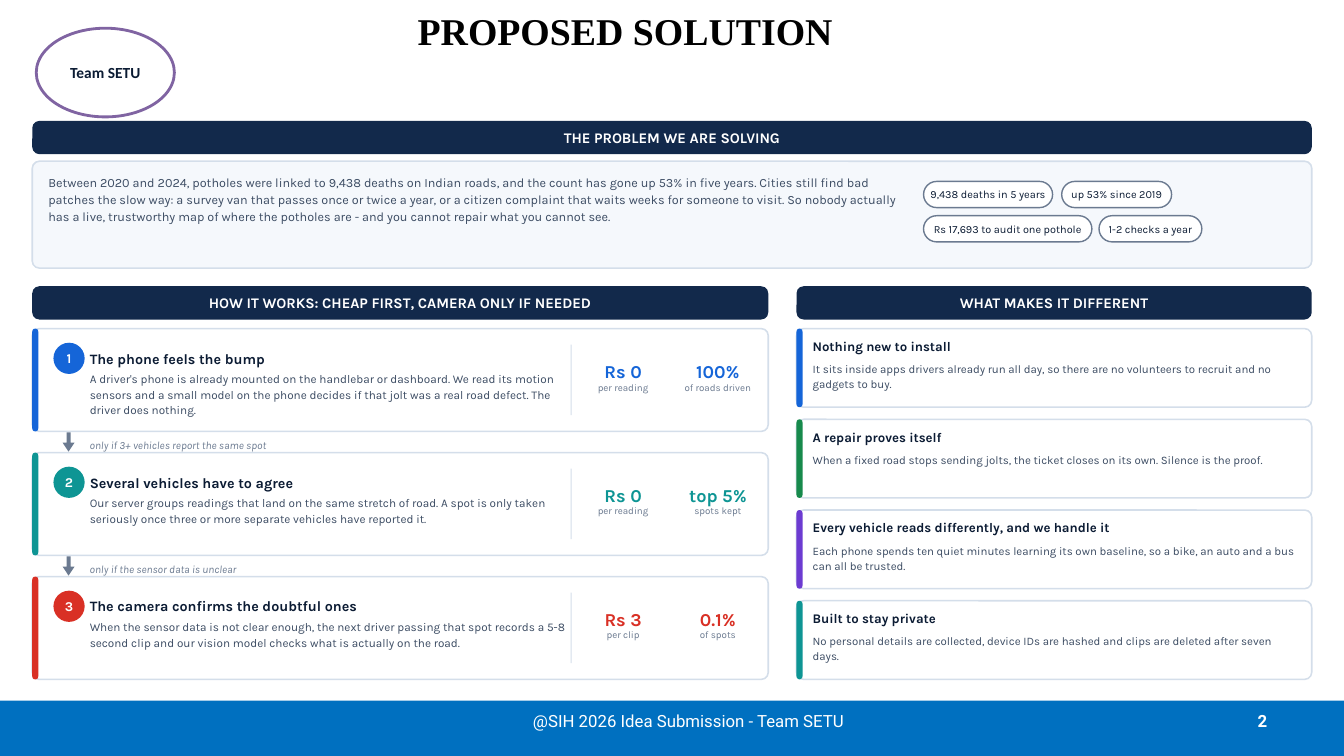
from dataclasses import dataclass
from typing import NamedTuple

from pptx import Presentation
from pptx import util as u
from pptx.dml import color
from pptx.enum import shapes, text

Inches = u.Inches
Kind = shapes.MSO_SHAPE
Align = text.PP_ALIGN
Anchor = text.MSO_ANCHOR


@dataclass(frozen=True)
class Theme:
    font: str = "Karla"
    footer_font: str = "Roboto"
    title_font: str = "Times New Roman"
    team_font: str = "Calibri"
    white: str = "FFFFFF"
    black: str = "000000"
    ink: str = "0B1B33"
    body: str = "3C4C63"
    muted: str = "6B7A90"
    border: str = "D4DEEA"
    panel: str = "F5F8FC"
    navy: str = "12294B"
    footer: str = "0070C0"
    ring: str = "8064A2"
    blue: str = "1565D8"
    teal: str = "0E9594"
    red: str = "D93025"
    green: str = "178A4C"
    purple: str = "6C3BD1"
    title_size: float = 27
    footer_size: float = 12
    team_size: float = 11
    banner_size: float = 10.5
    problem_size: float = 9
    pill_size: float = 7.8
    badge_size: float = 9.6
    step_size: float = 10.2
    step_body_size: float = 8.4
    metric_size: float = 13
    metric_label_size: float = 7
    card_size: float = 9.4
    card_body_size: float = 8.2


class Area(NamedTuple):
    left: float
    top: float
    width: float
    height: float


class Label(NamedTuple):
    area: Area
    words: str


class Metric(NamedTuple):
    value: str
    unit: str


class Step(NamedTuple):
    heading: str
    body: str
    colour: str
    metrics: tuple[Metric, Metric]
    condition: str = ""


class Card(NamedTuple):
    heading: str
    body: str
    colour: str


THEME = Theme()
LEFT, RIGHT_COLUMN = 0.32, 7.9
FULL_WIDTH, STEP_WIDTH, CARD_WIDTH = 12.69, 7.3, 5.11
ROW_TOP = 3.26
STEP_HEIGHT, STEP_PITCH = 1.02, 1.23
CARD_HEIGHT, CARD_PITCH = 0.78, 0.9
METRIC_CENTRES = (6.18, 7.12)

BANNERS = (
    Label(Area(LEFT, 1.2, FULL_WIDTH, 0.33), "THE PROBLEM WE ARE SOLVING"),
    Label(Area(LEFT, 2.84, STEP_WIDTH, 0.33), "HOW IT WORKS: CHEAP FIRST, CAMERA ONLY IF NEEDED"),
    Label(Area(RIGHT_COLUMN, 2.84, CARD_WIDTH, 0.33), "WHAT MAKES IT DIFFERENT"),
)
PROBLEM = (
    "Between 2020 and 2024, potholes were linked to 9,438 deaths on Indian roads, and the count has gone up 53% "
    "in five years. Cities still find bad patches the slow way: a survey van that passes once or twice a year, "
    "or a citizen complaint that waits weeks for someone to visit. So nobody actually has a live, trustworthy "
    "map of where the potholes are - and you cannot repair what you cannot see."
)
PILLS = (
    Label(Area(9.16, 1.8, 1.28, 0.26), "9,438 deaths in 5 years"),
    Label(Area(10.53, 1.8, 1.09, 0.26), "up 53% since 2019"),
    Label(Area(9.16, 2.14, 1.67, 0.26), "Rs 17,693 to audit one pothole"),
    Label(Area(10.9, 2.14, 1.02, 0.26), "1-2 checks a year"),
)
STEPS = (
    Step("The phone feels the bump",
         "A driver's phone is already mounted on the handlebar or dashboard. We read its motion sensors and a "
         "small model on the phone decides if that jolt was a real road defect. The driver does nothing.",
         THEME.blue, (Metric("Rs 0", "per reading"), Metric("100%", "of roads driven")),
         "only if 3+ vehicles report the same spot"),
    Step("Several vehicles have to agree",
         "Our server groups readings that land on the same stretch of road. A spot is only taken seriously once "
         "three or more separate vehicles have reported it.",
         THEME.teal, (Metric("Rs 0", "per reading"), Metric("top 5%", "spots kept")),
         "only if the sensor data is unclear"),
    Step("The camera confirms the doubtful ones",
         "When the sensor data is not clear enough, the next driver passing that spot records a 5-8 second clip "
         "and our vision model checks what is actually on the road.",
         THEME.red, (Metric("Rs 3", "per clip"), Metric("0.1%", "of spots"))),
)
CARDS = (
    Card("Nothing new to install",
         "It sits inside apps drivers already run all day, so there are no volunteers to recruit and no gadgets "
         "to buy.", THEME.blue),
    Card("A repair proves itself",
         "When a fixed road stops sending jolts, the ticket closes on its own. Silence is the proof.", THEME.green),
    Card("Every vehicle reads differently, and we handle it",
         "Each phone spends ten quiet minutes learning its own baseline, so a bike, an auto and a bus can all be "
         "trusted.", THEME.purple),
    Card("Built to stay private",
         "No personal details are collected, device IDs are hashed and clips are deleted after seven days.",
         THEME.teal),
)


def paint(shape, fill: str, line: str = "", weight: float = 1.1) -> None:
    shape.shadow.inherit = False
    shape.fill.solid()
    shape.fill.fore_color.rgb = color.RGBColor.from_string(fill)
    if line:
        shape.line.color.rgb = color.RGBColor.from_string(line)
        shape.line.width = u.Pt(weight)
    else:
        shape.line.fill.background()


def draw(page, kind, area: Area, fill: str, line: str = "", weight: float = 1.1, radius: float = 0):
    shape = page.shapes.add_shape(kind, *map(Inches, area))
    paint(shape, fill, line, weight)
    if radius:
        shape.adjustments[0] = min(0.5, radius / min(area.width, area.height))
    return shape


def write(box, words: str, *, size: float, colour: str, font: str = THEME.font, bold: bool = False,
          italic: bool = False, align=Align.LEFT, anchor=Anchor.MIDDLE, wrap: bool = False,
          spacing: float = 0) -> None:
    frame = box.text_frame
    frame.margin_left = frame.margin_right = frame.margin_top = frame.margin_bottom = 0
    frame.word_wrap = wrap
    frame.vertical_anchor = anchor
    para = frame.paragraphs[0]
    para.alignment = align
    if spacing:
        para.line_spacing = u.Pt(spacing)
    span = para.add_run()
    span.text = words
    span.font.name, span.font.size = font, u.Pt(size)
    span.font.bold, span.font.italic = bold, italic
    span.font.color.rgb = color.RGBColor.from_string(colour)


def place(page, area: Area, words: str, **style) -> None:
    write(page.shapes.add_textbox(*map(Inches, area)), words, **style)


def draw_panel(page, area: Area, accent: str) -> None:
    draw(page, Kind.ROUNDED_RECTANGLE, area, THEME.white, THEME.border, radius=0.07)
    draw(page, Kind.ROUNDED_RECTANGLE, area._replace(width=0.06), accent, radius=0.03)


def draw_arrow(page, centre: float, top: float) -> None:
    outline = ((-0.02, 0), (0.02, 0), (0.02, 0.1), (0.06, 0.1), (0, 0.19), (-0.06, 0.1), (-0.02, 0.1))
    points = [(Inches(centre + across), Inches(top + down)) for across, down in outline]
    builder = page.shapes.build_freeform(*points[0])
    builder.add_line_segments(points[1:], close=True)
    paint(builder.convert_to_shape(), THEME.muted)


def draw_step(page, index: int, step: Step) -> None:
    top = ROW_TOP + index * STEP_PITCH
    draw_panel(page, Area(LEFT, top, STEP_WIDTH, STEP_HEIGHT), step.colour)
    draw(page, Kind.RECTANGLE, Area(5.66, top + 0.16, 0.01, 0.7), THEME.border)
    badge = draw(page, Kind.OVAL, Area(0.53, top + 0.14, 0.31, 0.31), step.colour)
    write(badge, str(index + 1), size=THEME.badge_size, colour=THEME.white, bold=True, align=Align.CENTER)
    place(page, Area(0.89, top + 0.16, 4.75, 0.27), step.heading, size=THEME.step_size, colour=THEME.ink, bold=True)
    place(page, Area(0.89, top + 0.42, 4.75, 0.48), step.body, size=THEME.step_body_size, colour=THEME.body,
          anchor=Anchor.TOP, wrap=True, spacing=11)
    for centre, metric in zip(METRIC_CENTRES, step.metrics):
        place(page, Area(centre - 0.4, top + 0.25, 0.8, 0.34), metric.value, size=THEME.metric_size,
              colour=step.colour, bold=True, align=Align.CENTER)
        place(page, Area(centre - 0.4, top + 0.49, 0.8, 0.18), metric.unit, size=THEME.metric_label_size,
              colour=THEME.muted, align=Align.CENTER)
    if step.condition:
        draw_arrow(page, 0.68, top + 1.03)
        place(page, Area(0.89, top + 1.05, 2, 0.21), step.condition, size=THEME.pill_size, colour=THEME.muted,
              italic=True)


def draw_card(page, index: int, card: Card) -> None:
    top = ROW_TOP + index * CARD_PITCH
    draw_panel(page, Area(RIGHT_COLUMN, top, CARD_WIDTH, CARD_HEIGHT), card.colour)
    place(page, Area(8.06, top + 0.05, 4.81, 0.25), card.heading, size=THEME.card_size, colour=THEME.ink, bold=True)
    place(page, Area(8.06, top + 0.32, 4.81, 0.35), card.body, size=THEME.card_body_size, colour=THEME.body,
          anchor=Anchor.TOP, wrap=True, spacing=10.8)


def main() -> None:
    deck = Presentation()
    deck.slide_width, deck.slide_height = Inches(13.33), Inches(7.5)
    page = deck.slides.add_slide(deck.slide_layouts[6])
    draw(page, Kind.RECTANGLE, Area(0, 6.95, 13.33, 0.55), THEME.footer)
    place(page, Area(1.85, 0.08, 8.7, 1.02), "PROPOSED SOLUTION", size=THEME.title_size, colour=THEME.black,
          font=THEME.title_font, bold=True, align=Align.CENTER, anchor=Anchor.TOP, wrap=True)
    place(page, Area(9.56, 6.95, 3.01, 0.4), "2", size=THEME.footer_size, colour=THEME.white,
          font=THEME.footer_font, bold=True, align=Align.RIGHT, wrap=True)
    place(page, Area(5.08, 6.95, 3.5, 0.4), "@SIH 2026 Idea Submission - Team SETU", size=THEME.footer_size,
          colour=THEME.white, font=THEME.footer_font, align=Align.CENTER, wrap=True)
    team = draw(page, Kind.OVAL, Area(0.36, 0.28, 1.37, 0.88), THEME.white, THEME.ring, 2)
    write(team, "Team SETU", size=THEME.team_size, colour=THEME.ink, font=THEME.team_font, bold=True,
          align=Align.CENTER)
    draw(page, Kind.RECTANGLE, Area(0.3, 1.2, 12.73, 5.62), THEME.white)
    draw(page, Kind.ROUNDED_RECTANGLE, Area(LEFT, 1.6, FULL_WIDTH, 1.06), THEME.panel, THEME.border, radius=0.07)
    place(page, Area(0.48, 1.71, 8.45, 0.54), PROBLEM, size=THEME.problem_size, colour=THEME.body,
          anchor=Anchor.TOP, wrap=True, spacing=12.4)
    for area, words in BANNERS:
        banner = draw(page, Kind.ROUNDED_RECTANGLE, area, THEME.navy, radius=0.07)
        write(banner, words, size=THEME.banner_size, colour=THEME.white, bold=True, align=Align.CENTER)
    for area, words in PILLS:
        pill = draw(page, Kind.ROUNDED_RECTANGLE, area, THEME.white, THEME.muted, 1, radius=0.13)
        write(pill, words, size=THEME.pill_size, colour=THEME.ink, align=Align.CENTER)
    for index, step in enumerate(STEPS):
        draw_step(page, index, step)
    for index, card in enumerate(CARDS):
        draw_card(page, index, card)
    deck.save("out.pptx")


if __name__ == "__main__":
    main()
